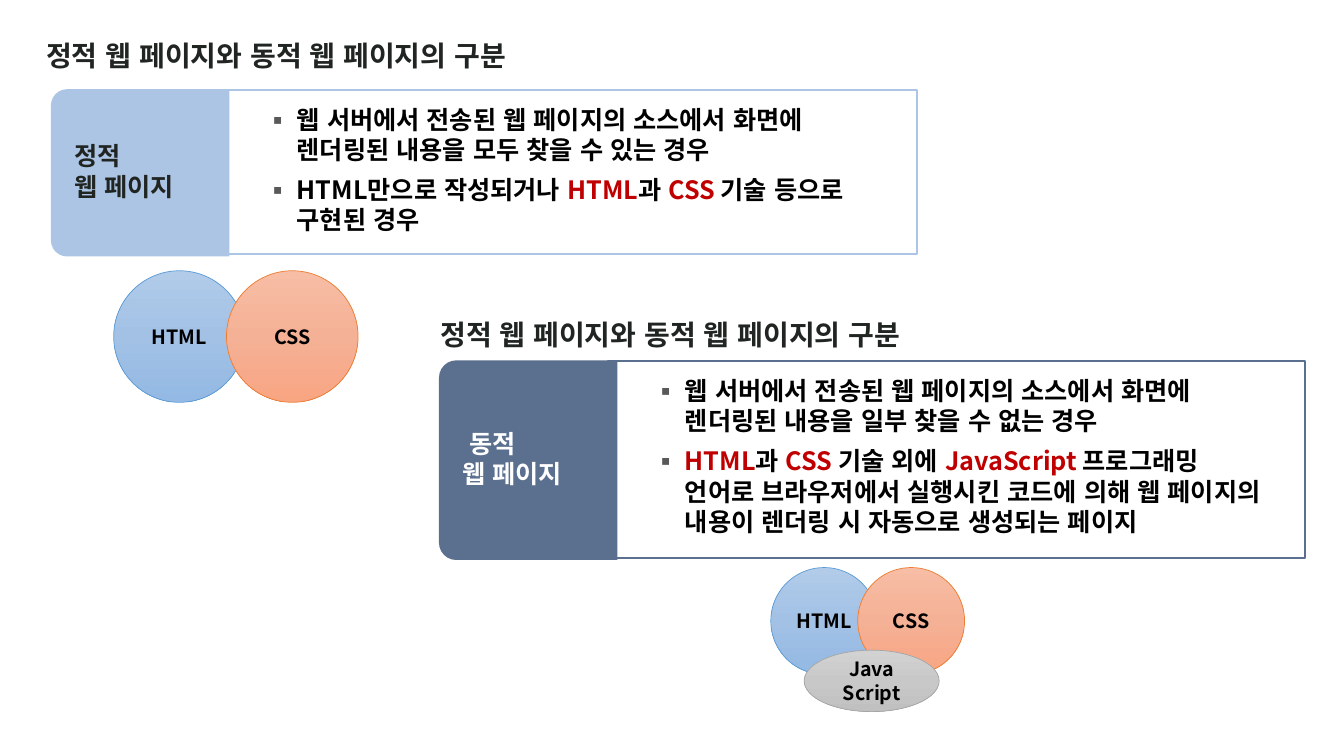
from copy import deepcopy

from lxml import etree
from pptx import Presentation
from pptx.dml.color import RGBColor
from pptx.enum.lang import MSO_LANGUAGE_ID
from pptx.enum.shapes import MSO_SHAPE
from pptx.enum.text import MSO_ANCHOR, PP_ALIGN
from pptx.oxml.ns import qn
from pptx.util import Pt

RECT = MSO_SHAPE.RECTANGLE
TAB = MSO_SHAPE.ROUND_2_SAME_RECTANGLE
OVAL = MSO_SHAPE.OVAL
KOREAN = MSO_LANGUAGE_ID.KOREAN
MIDDLE = MSO_ANCHOR.MIDDLE
CENTER = PP_ALIGN.CENTER

FONT = "Noto Sans CJK KR"
BLACK = RGBColor(0x00, 0x00, 0x00)
WHITE = RGBColor(0xFF, 0xFF, 0xFF)
INK = RGBColor(0x20, 0x25, 0x22)
RED = RGBColor(0xC0, 0x00, 0x00)
LIGHT_BLUE = RGBColor(0xAC, 0xC5, 0xE4)
SLATE = RGBColor(0x5B, 0x6F, 0x8E)
BULLET = "595959"

# Gradient from top to bottom, then the outline
BLUE = ([RGBColor(0xB1, 0xCB, 0xE9), RGBColor(0xA3, 0xC1, 0xE5),
         RGBColor(0x93, 0xB9, 0xE4)], RGBColor(0x5B, 0x9B, 0xD5))
ORANGE = ([RGBColor(0xF7, 0xBD, 0xA5), RGBColor(0xF5, 0xB1, 0x96),
           RGBColor(0xF8, 0xA5, 0x82)], RGBColor(0xED, 0x7D, 0x31))
GRAY = ([RGBColor(0xD2, 0xD2, 0xD2), RGBColor(0xC8, 0xC8, 0xC8),
         RGBColor(0xC0, 0xC0, 0xC0)], RGBColor(0xA5, 0xA5, 0xA5))

HEADING = "정적 웹 페이지와 동적 웹 페이지의 구분"
PANELS = [
    dict(heading_at=(25.9, 23.8), at=(36.4, 63.7), height=119.5,
         color=LIGHT_BLUE, label=["정적 ", "웹 페이지"], label_color=INK,
         bullets=[
             [("웹 서버에서 전송된 웹 페이지의 소스에서 화면에 렌더링된 내용을 "
               "모두 찾을 수 있는 경우", BLACK)],
             [("HTML만으로 작성되거나 ", BLACK), ("HTML", RED), ("과 ", BLACK),
              ("CSS ", RED), ("기술 등으로 구현된 경우", BLACK)],
         ]),
    dict(heading_at=(307.4, 223.2), at=(313.6, 257.4), height=142.6,
         color=SLATE, label=[" 동적 ", "웹 페이지"], label_color=WHITE,
         bullets=[
             [("웹 서버에서 전송된 웹 페이지의 소스에서 화면에 렌더링된 내용을 "
               "일부 찾을 수 없는 경우", BLACK)],
             [("HTML", RED), ("과 ", BLACK), ("CSS ", RED),
              ("기술 외에 ", BLACK), ("JavaScript ", RED),
              ("프로그래밍 언어로 브라우저에서 실행시킨 코드에 의해 웹 페이지의 "
               "내용이 렌더링 시 자동으로 생성되는 페이지", BLACK)],
         ]),
]
# Lines of text, colours, left, top, width, height
VENNS = [
    [(["HTML"], BLUE, 81.2, 193.4, 94, 94),
     (["CSS"], ORANGE, 161.8, 193.4, 94, 94)],
    [(["HTML"], BLUE, 550.6, 405.4, 76.3, 76.3),
     (["CSS"], ORANGE, 612.7, 405.4, 76.3, 76.3),
     (["Java", "Script"], GRAY, 574.4, 464.4, 96.5, 43.9)],
]
TAB_WIDTH = 127.4
FRAME_WIDTH = 497.5


def add_run(p, text, size, color):
    r = p.add_run()
    r.text = text
    r.font.name = FONT
    r.font.size = Pt(size)
    r.font.bold = True
    r.font.color.rgb = color
    r.font.language_id = KOREAN
    etree.SubElement(r.font._element, qn("a:ea"), typeface=FONT)


def add_lines(p, lines, size, color):
    for i, line in enumerate(lines):
        if i:
            p.add_line_break()
        add_run(p, line, size, color)


def add_bullet(p):
    pPr = p._p.get_or_add_pPr()
    pPr.set("marL", str(Pt(22.5)))
    pPr.set("indent", str(-Pt(22.5)))
    color = etree.SubElement(pPr, qn("a:buClr"))
    etree.SubElement(color, qn("a:srgbClr"), val=BULLET)
    etree.SubElement(pPr, qn("a:buFont"), typeface=FONT)
    etree.SubElement(pPr, qn("a:buChar"), char="▪")


def add_text_box(shapes, x, y, w, h):
    tf = shapes.add_textbox(Pt(x), Pt(y), Pt(w), Pt(h)).text_frame
    tf.word_wrap = True
    return tf


def add_shape(shapes, kind, x, y, w, h):
    sp = shapes.add_shape(kind, Pt(x), Pt(y), Pt(w), Pt(h))
    sp.shadow.inherit = False
    return sp


def add_panel(shapes, panel):
    x, y = panel["at"]
    h = panel["height"]
    tf = add_text_box(shapes, *panel["heading_at"], 635, 31.7)
    add_run(tf.paragraphs[0], HEADING, 20, INK)

    frame = add_shape(shapes, RECT, x + 121, y + 0.4, FRAME_WIDTH, h - 1.8)
    frame.fill.solid()
    frame.fill.fore_color.rgb = WHITE
    frame.line.color.rgb = panel["color"]
    frame.line.width = Pt(1.5)

    # The tab is turned a quarter, so its sides swap around its centre
    shift = (TAB_WIDTH - h) / 2
    tab = add_shape(shapes, TAB, x + shift, y - shift, h, TAB_WIDTH)
    tab.rotation = 270
    tab.adjustments[0] = 0.097
    tab.adjustments[1] = 0
    tab.fill.solid()
    tab.fill.fore_color.rgb = panel["color"]
    tab.line.fill.background()

    tf = add_text_box(shapes, x + 146, y + 7.2, 449.3, h - 18.5)
    for i, runs in enumerate(panel["bullets"]):
        p = tf.add_paragraph() if i else tf.paragraphs[0]
        if i:
            p.space_before = Pt(7)
        add_bullet(p)
        for text, color in runs:
            add_run(p, text, 18, color)

    tf = add_text_box(shapes, x + 9.4, y + h / 2 - 26.5, 108.7, 51.1)
    add_lines(tf.paragraphs[0], panel["label"], 18, panel["label_color"])


def fill_gradient(sp, colors):
    sp.fill.gradient()
    sp.fill.gradient_angle = 270
    first = sp._element.spPr.find(".//" + qn("a:gs"))
    first.addnext(deepcopy(first))
    for i, (stop, color) in enumerate(zip(sp.fill.gradient_stops, colors)):
        stop.position = i / 2
        stop.color.rgb = color


def add_venn(shapes, ovals):
    group = shapes.add_group_shape()
    for lines, (colors, outline), *box in ovals:
        sp = add_shape(group.shapes, OVAL, *box)
        fill_gradient(sp, colors)
        sp.line.color.rgb = outline
        sp.line.width = Pt(0.5)
        tf = sp.text_frame
        tf.word_wrap = False
        tf.vertical_anchor = MIDDLE
        p = tf.paragraphs[0]
        p.alignment = CENTER
        add_lines(p, lines, 14, BLACK)


def main():
    prs = Presentation()
    prs.slide_width, prs.slide_height = Pt(960), Pt(540)
    slide = prs.slides.add_slide(prs.slide_layouts[6])
    for panel, ovals in zip(PANELS, VENNS):
        add_panel(slide.shapes, panel)
        add_venn(slide.shapes, ovals)
    prs.save("out.pptx")


if __name__ == "__main__":
    main()
